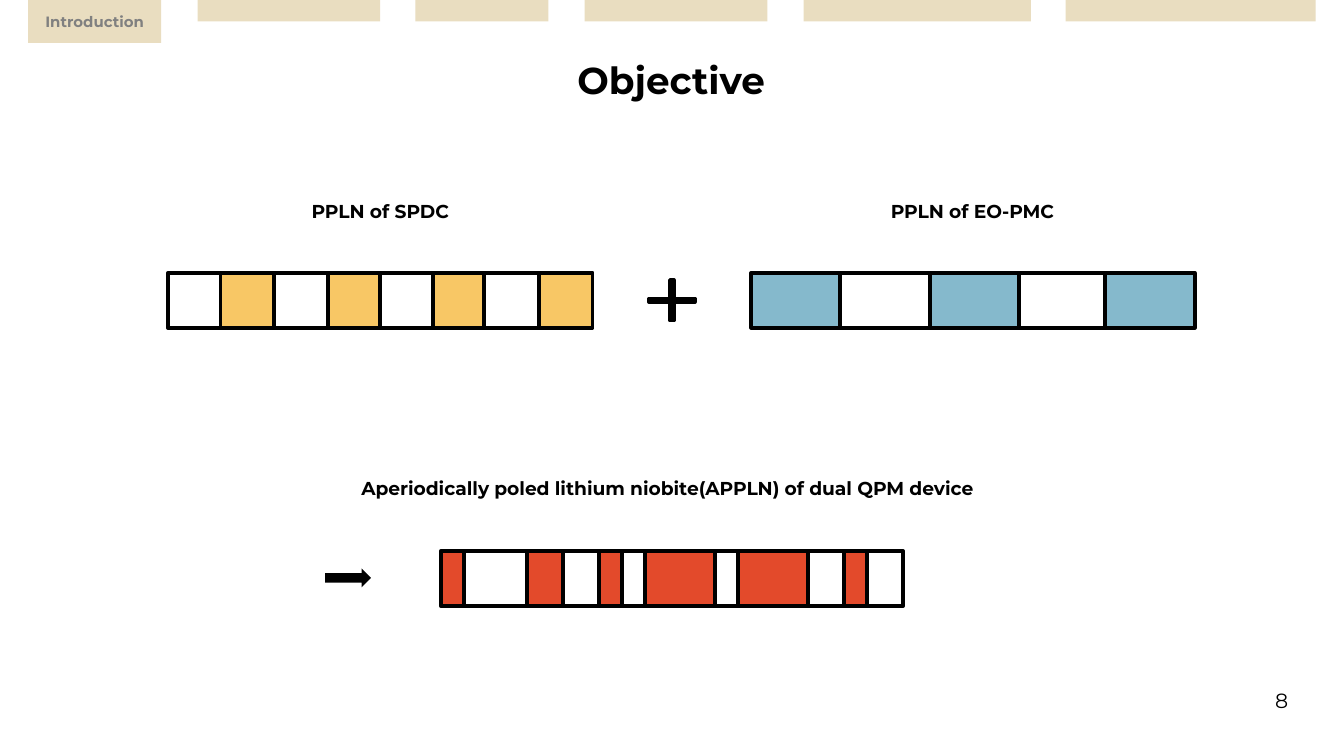
from pptx import Presentation
from pptx.dml.color import RGBColor
from pptx.enum.shapes import MSO_SHAPE as SHAPE
from pptx.enum.text import MSO_ANCHOR as ANCHOR, PP_ALIGN as ALIGN
from pptx.util import Inches, Pt

BLACK, WHITE, SAND, GREY = "000000", "FFFFFF", "E9DDC0", "808080"
YELLOW, BLUE, RED = "F8C765", "85B9CC", "E34A2B"
CELL_H = 0.41
TOP_ROW, BOTTOM_ROW = 2.03, 4.1

prs = Presentation()
prs.slide_width, prs.slide_height = Inches(10), Inches(10 * 9 / 16)
slide = prs.slides.add_slide(prs.slide_layouts[6])


def add_block(kind, left, top, width, height, fill, outlined=False):
    block = slide.shapes.add_shape(
        kind, Inches(left), Inches(top), Inches(width), Inches(height))
    block.shadow.inherit = False
    block.fill.solid()
    block.fill.fore_color.rgb = RGBColor.from_string(fill)
    if outlined:
        block.line.color.rgb = RGBColor.from_string(BLACK)
        block.line.width = Pt(2)
    else:
        block.line.fill.background()
    return block


def write(shape, text, size, color=BLACK, bold=True, centred=True):
    """Put one line of text in a shape, in its middle or at its top left."""
    frame = shape.text_frame
    frame.word_wrap = centred
    frame.vertical_anchor = ANCHOR.MIDDLE if centred else ANCHOR.TOP
    line = frame.paragraphs[0]
    line.text = text
    line.alignment = ALIGN.CENTER if centred else ALIGN.LEFT
    line.font.name = "Montserrat"
    line.font.size = Pt(size)
    line.font.bold = bold
    line.font.color.rgb = RGBColor.from_string(color)


# Navigation tabs: the current section hangs lower and shows its name
current = add_block(SHAPE.RECTANGLE, 0.21, 0, 0.99, 0.32, SAND)
write(current, "Introduction", 8, GREY)
for left, width in [(1.47, 1.36), (3.09, 0.99), (4.35, 1.36),
                    (5.98, 1.69), (7.93, 1.86)]:
    add_block(SHAPE.RECTANGLE, left, 0, width, 0.16, SAND)

# Poled crystals: left, top, cell widths, alternating fills
crystals = [
    (1.25, TOP_ROW, [0.39, 0.4, 0.4, 0.39, 0.39, 0.38, 0.41, 0.4],
     (WHITE, YELLOW)),
    (5.59, TOP_ROW, [0.66, 0.67, 0.66, 0.64, 0.67], (BLUE, WHITE)),
    (3.28, BOTTOM_ROW, [0.17, 0.47, 0.27, 0.27, 0.17, 0.17,
                        0.52, 0.17, 0.52, 0.27, 0.17, 0.27], (RED, WHITE)),
]
for left, top, widths, fills in crystals:
    for i, width in enumerate(widths):
        add_block(SHAPE.RECTANGLE, left, top, width, CELL_H, fills[i % 2], True)
        left += width

plus = add_block(SHAPE.MATH_PLUS, 4.77, TOP_ROW, 0.46, CELL_H, BLACK, True)
plus.adjustments[0] = 0.069
result_arrow = add_block(SHAPE.DOWN_ARROW, 2.52, 4.13, 0.14, 0.34, BLACK)
result_arrow.rotation = 270

# Title, crystal captions and page number
for text, left, top, width, height, size, bold, centred in [
    ("Objective", 2.06, 0.33, 5.87, 0.52, 20, True, True),
    ("PPLN of SPDC", 2.22, 1.44, 1.25, 0.27, 10, True, False),
    ("PPLN of EO-PMC", 6.53, 1.44, 1.44, 0.27, 10, True, False),
    ("Aperiodically poled lithium niobite(APPLN) of dual QPM device",
     2.59, 3.5, 4.82, 0.27, 10, True, False),
    ("8", 9.39, 5.07, 0.3, 0.29, 11, False, False),
]:
    box = slide.shapes.add_textbox(
        Inches(left), Inches(top), Inches(width), Inches(height))
    write(box, text, size, bold=bold, centred=centred)

prs.save("out.pptx")
